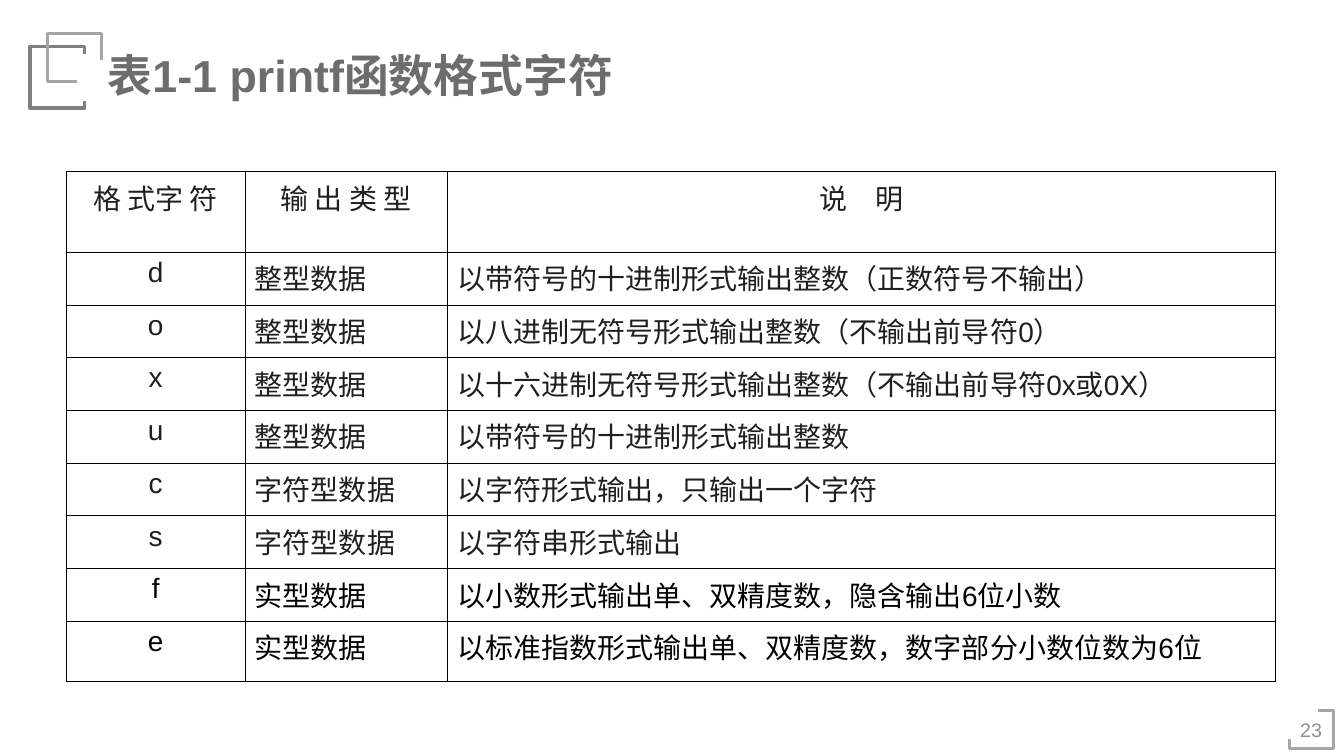
from dataclasses import dataclass

import lxml.etree
import pptx
import pptx.dml.color
import pptx.enum.text
import pptx.oxml.ns
import pptx.util

ALIGN = pptx.enum.text.PP_ALIGN
ANCHOR = pptx.enum.text.MSO_ANCHOR
SLIDE_WIDTH = pptx.util.Inches(13.34)
SLIDE_HEIGHT = pptx.util.Inches(7.5)


@dataclass(frozen=True)
class Theme:
    font: str = "Arial"
    title_color: str = "6D6D6D"
    number_color: str = "8F8F8F"
    body_color: str = "1F1F1F"
    real_color: str = "000000"
    border_color: str = "000000"
    dark_frame: str = "7F7F7F"
    light_frame: str = "A6A6A6"
    title_size: float = 32
    body_size: float = 20
    number_size: float = 14
    border_width: float = 0.45


THEME = Theme()


@dataclass(frozen=True)
class Frame:
    """An open outline; points are percentages of the slide's size."""
    points: tuple[tuple[float, float], ...]
    color: str
    weight: float


@dataclass(frozen=True)
class Label:
    """A line of text; the box is in percentages of the slide's size."""
    text: str
    box: tuple[float, float, float, float]
    size: float
    color: str
    bold: bool = False
    align: ALIGN = ALIGN.LEFT
    anchor: ANCHOR = ANCHOR.TOP
    insets: tuple[float, float] = (0.1, 0.05)
    wrap: bool = False


@dataclass(frozen=True)
class FormatRow:
    character: str
    output_type: str
    description: str
    color: str = THEME.body_color


FRAMES = (
    Frame(((6.3, 7.2), (6.3, 6.13), (2.25, 6.13), (2.25, 14.27), (6.3, 14.27), (6.3, 13.33)),
          THEME.dark_frame, 2.5),
    Frame(((7.57, 8), (7.57, 4.4), (3.52, 4.4), (3.52, 10.8), (5.7, 10.8)),
          THEME.light_frame, 2.5),
    Frame(((95.95, 97.73), (95.95, 99.07), (99.25, 99.07), (99.25, 94), (98.05, 94)),
          THEME.light_frame, 2),
)

LABELS = (
    Label("23", (95.95, 92.93, 3.22, 7.2), THEME.number_size, THEME.number_color,
          align=ALIGN.CENTER, anchor=ANCHOR.MIDDLE, insets=(0.07, 0.04), wrap=True),
    Label("表1-1 printf函数格式字符", (7.27, 5.6, 41.68, 8.4), THEME.title_size,
          THEME.title_color, bold=True),
)

FORMAT_ROWS = (
    FormatRow("格 式字 符", "输 出 类 型", "说　明"),
    FormatRow("d", "整型数据", "以带符号的十进制形式输出整数（正数符号不输出）"),
    FormatRow("o", "整型数据", "以八进制无符号形式输出整数（不输出前导符0）"),
    FormatRow("x", "整型数据", "以十六进制无符号形式输出整数（不输出前导符0x或0X）"),
    FormatRow("u", "整型数据", "以带符号的十进制形式输出整数"),
    FormatRow("c", "字符型数据", "以字符形式输出，只输出一个字符"),
    FormatRow("s", "字符型数据", "以字符串形式输出"),
    FormatRow("f", "实型数据", "以小数形式输出单、双精度数，隐含输出6位小数", THEME.real_color),
    FormatRow("e", "实型数据", "以标准指数形式输出单、双精度数，数字部分小数位数为6位",
              THEME.real_color),
)
TABLE_LEFT, TABLE_TOP = 4.95, 22.67
COLUMN_WIDTHS = (13.27, 15.07, 61.62)
HEADER_HEIGHT, ROW_HEIGHT, LAST_HEIGHT = 10.67, 6.98, 8
ROW_HEIGHTS = (HEADER_HEIGHT, *[ROW_HEIGHT] * (len(FORMAT_ROWS) - 2), LAST_HEIGHT)


def across(percent: float) -> int:
    return round(SLIDE_WIDTH * percent / 100)


def down(percent: float) -> int:
    return round(SLIDE_HEIGHT * percent / 100)


def rgb(color: str) -> pptx.dml.color.RGBColor:
    return pptx.dml.color.RGBColor.from_string(color)


def write(text_frame, text: str, size: float, color: str, align: ALIGN,
          bold: bool = False) -> None:
    text_frame.text = text
    paragraph = text_frame.paragraphs[0]
    paragraph.alignment = align
    font = paragraph.runs[0].font
    font.name, font.size, font.bold = THEME.font, pptx.util.Pt(size), bold
    font.color.rgb = rgb(color)


def draw_frame(slide, frame: Frame) -> None:
    start, *rest = [(across(x), down(y)) for x, y in frame.points]
    builder = slide.shapes.build_freeform(*start)
    builder.add_line_segments(rest, close=False)
    outline = builder.convert_to_shape()
    outline.shadow.inherit = False
    outline.fill.background()
    outline.line.color.rgb = rgb(frame.color)
    outline.line.width = pptx.util.Pt(frame.weight)


def draw_label(slide, label: Label) -> None:
    left, top, width, height = label.box
    box = slide.shapes.add_textbox(across(left), down(top), across(width), down(height))
    text_frame = box.text_frame
    text_frame.word_wrap = label.wrap
    text_frame.vertical_anchor = label.anchor
    side, edge = map(pptx.util.Inches, label.insets)
    text_frame.margin_left = text_frame.margin_right = side
    text_frame.margin_top = text_frame.margin_bottom = edge
    write(text_frame, label.text, label.size, label.color, label.align, label.bold)


def add_borders(cell) -> None:
    qn = pptx.oxml.ns.qn
    properties = cell._tc.get_or_add_tcPr()
    for side in ("a:lnL", "a:lnR", "a:lnT", "a:lnB"):
        line = lxml.etree.SubElement(properties, qn(side),
                                     w=str(int(pptx.util.Pt(THEME.border_width))))
        fill = lxml.etree.SubElement(line, qn("a:solidFill"))
        lxml.etree.SubElement(fill, qn("a:srgbClr"), val=THEME.border_color)


def draw_format_table(slide) -> None:
    table = slide.shapes.add_table(
        len(FORMAT_ROWS), len(COLUMN_WIDTHS), across(TABLE_LEFT), down(TABLE_TOP),
        across(sum(COLUMN_WIDTHS)), down(sum(ROW_HEIGHTS))).table
    table.first_row = table.horz_banding = False
    for column, width in zip(table.columns, COLUMN_WIDTHS):
        column.width = across(width)
    for row, height in zip(table.rows, ROW_HEIGHTS):
        row.height = down(height)
    for row_index, entry in enumerate(FORMAT_ROWS):
        texts = (entry.character, entry.output_type, entry.description)
        for column_index, text in enumerate(texts):
            cell = table.cell(row_index, column_index)
            centred = row_index == 0 or column_index == 0
            write(cell.text_frame, text, THEME.body_size, entry.color,
                  ALIGN.CENTER if centred else ALIGN.LEFT)
            add_borders(cell)
            cell.fill.background()


def main() -> None:
    presentation = pptx.Presentation()
    presentation.slide_width = SLIDE_WIDTH
    presentation.slide_height = SLIDE_HEIGHT
    slide = presentation.slides.add_slide(presentation.slide_layouts[6])
    for frame in FRAMES:
        draw_frame(slide, frame)
    draw_format_table(slide)
    for label in LABELS:
        draw_label(slide, label)
    presentation.save("out.pptx")


if __name__ == "__main__":
    main()
